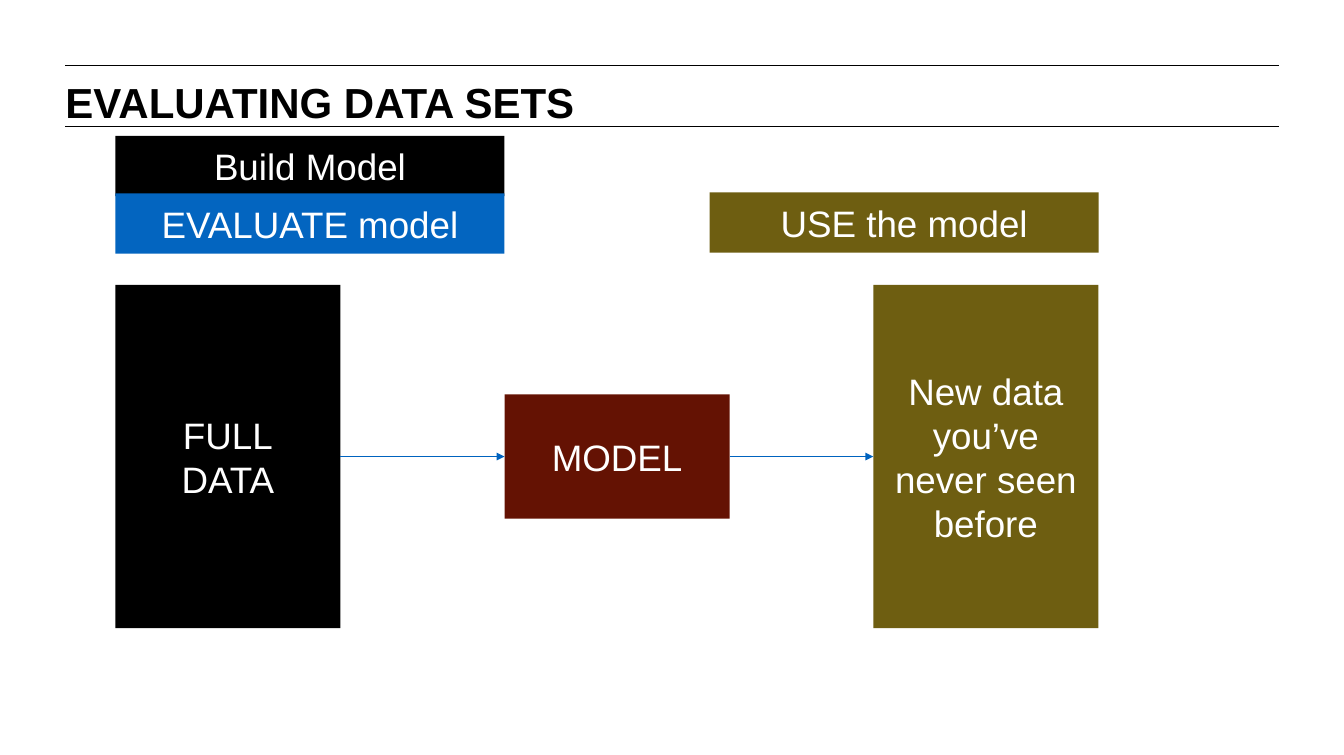
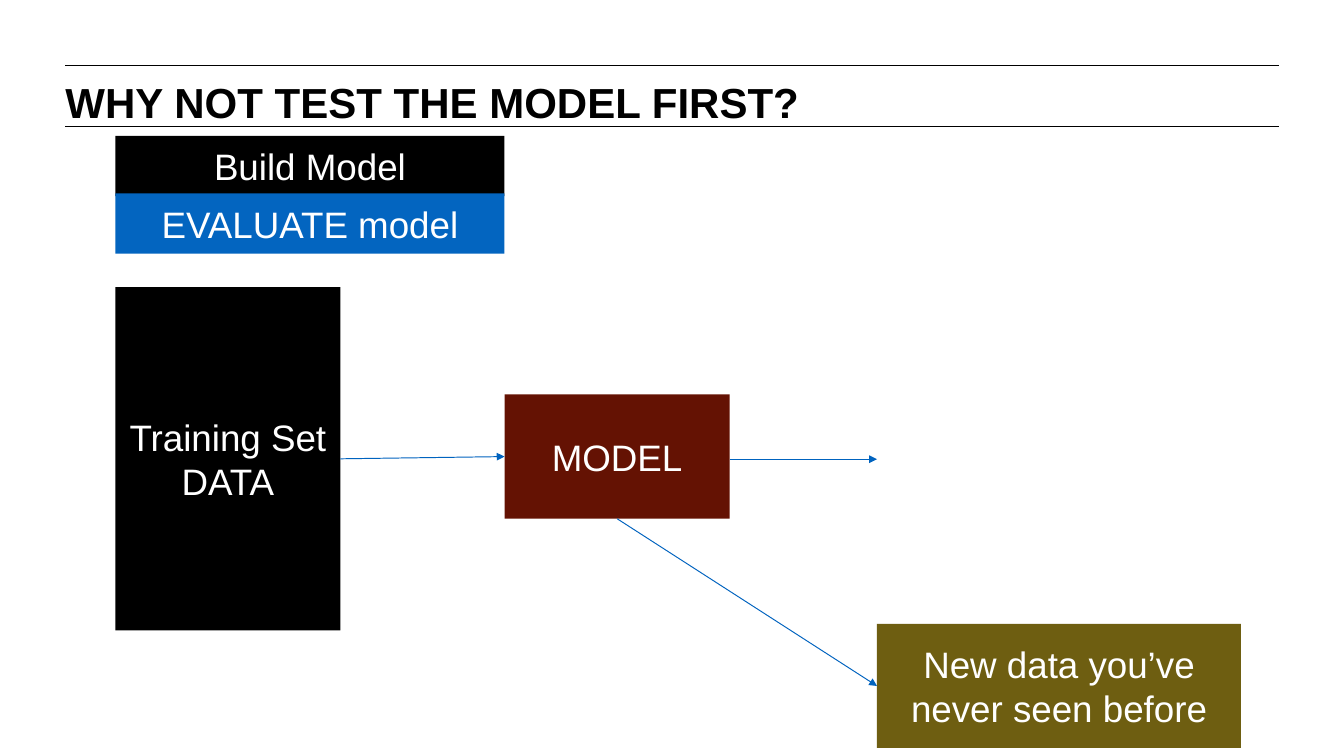
"""Builds two slides on evaluating a model with data sets."""
from lxml.etree import SubElement
from pptx import Presentation
from pptx.dml.color import RGBColor
from pptx.enum.shapes import MSO_CONNECTOR as Connector, MSO_SHAPE as Shape
from pptx.enum.text import MSO_ANCHOR as Anchor, MSO_AUTO_SIZE as AutoSize, PP_ALIGN as Align
from pptx.oxml.ns import qn
from pptx.util import Cm, Pt

FONT = "Arial"
BLACK, WHITE, BLUE, ARROW, RED, OLIVE = "000000", "FFFFFF", "0365C0", "0063BF", "641203", "6E5E11"
BOTTOM, LEFT, RIGHT = 2, 1, 3

RULE_LEFT, RULE_RIGHT = 1.76, 34.36
RULE_TOPS = (1.76, 3.4)
TITLE_PLACE = (1.76, 2.06, 21.44, 1.19)

BLOCK_LEFT, BLOCK_TOP = 3.1, 7.66
BLOCK_WIDTH, BLOCK_HEIGHT = 6.05, 9.22
BANNER_WIDTH, BANNER_HEIGHT = 10.46, 1.62
MODEL_LEFT = BLOCK_LEFT + BANNER_WIDTH
NEW_DATA = "New data you’ve never seen before"

SHARED_BOXES = {
    "build": ("Build Model", BLACK, (BLOCK_LEFT, 3.65, BANNER_WIDTH, BANNER_HEIGHT)),
    "evaluate": ("EVALUATE model", BLUE, (BLOCK_LEFT, 5.2, BANNER_WIDTH, BANNER_HEIGHT)),
    "model": ("MODEL", RED, (MODEL_LEFT, 10.6, BLOCK_WIDTH, 3.34)),
}

SLIDES = [
    {
        "title": "EVALUATING DATA SETS",
        "boxes": {
            "use": ("USE the model", OLIVE, (19.07, 5.17, BANNER_WIDTH, BANNER_HEIGHT)),
            "data": ("FULL\nDATA", BLACK, (BLOCK_LEFT, BLOCK_TOP, BLOCK_WIDTH, BLOCK_HEIGHT)),
            "new": (NEW_DATA, OLIVE, (23.47, BLOCK_TOP, BLOCK_WIDTH, BLOCK_HEIGHT)),
        },
        "joins": [("data", RIGHT, "model", LEFT), ("model", RIGHT, "new", LEFT)],
        "free_arrows": [],
    },
    {
        "title": "WHY NOT TEST THE MODEL FIRST?",
        "boxes": {
            "data": ("Training Set DATA", BLACK, (BLOCK_LEFT, 7.72, BLOCK_WIDTH, BLOCK_HEIGHT)),
            "new": (NEW_DATA, OLIVE, (23.57, 16.77, 9.78, 3.33)),
        },
        "joins": [("data", RIGHT, "model", LEFT), ("model", BOTTOM, "new", LEFT)],
        "free_arrows": [(MODEL_LEFT + BLOCK_WIDTH, 12.34, 23.57, 12.34)],
    },
]


def color(value):
    return RGBColor.from_string(value)


def format_text(frame, size, text_color, align, bold=False):
    for para in frame.paragraphs:
        para.alignment = align
        for span in para.runs:
            font = span.font
            font.name, font.size, font.bold = FONT, Pt(size), bold
            font.color.rgb = color(text_color)


def add_line(page, ends, line_color, arrow=False):
    line = page.shapes.add_connector(Connector.STRAIGHT, *map(Cm, ends))
    line.line.color.rgb = color(line_color)
    line.line.width = Pt(0.75)
    properties = line.element.spPr
    if arrow:
        SubElement(properties.find(qn("a:ln")), qn("a:tailEnd"), type="triangle")
    SubElement(properties, qn("a:effectLst"))
    return line


def add_box(page, text, fill, place):
    box = page.shapes.add_shape(Shape.RECTANGLE, *map(Cm, place))
    box.shadow.inherit = False
    box.fill.solid()
    box.fill.fore_color.rgb = color(fill)
    box.line.fill.background()
    frame = box.text_frame
    frame.text = text
    frame.word_wrap = True
    frame.vertical_anchor = Anchor.MIDDLE
    format_text(frame, 28, WHITE, Align.CENTER)
    return box


def set_title(page, text):
    title = page.shapes.title
    title.left, title.top, title.width, title.height = map(Cm, TITLE_PLACE)
    frame = title.text_frame
    frame.text = text
    frame.auto_size = AutoSize.NONE
    frame.vertical_anchor = Anchor.TOP
    frame.margin_left = frame.margin_right = frame.margin_top = frame.margin_bottom = 0
    format_text(frame, 32, BLACK, Align.LEFT, bold=True)


def add_layout_rules(page):
    for top in RULE_TOPS:
        rule = add_line(page, (RULE_LEFT, top, RULE_RIGHT, top), BLACK)
        page.slide_layout.shapes.element.append(rule.element)


def build_page(page, content):
    set_title(page, content["title"])
    boxes = {name: add_box(page, *box) for name, box in (SHARED_BOXES | content["boxes"]).items()}
    for start, start_side, end, end_side in content["joins"]:
        arrow = add_line(page, (0, 0, 1, 1), ARROW, arrow=True)
        arrow.begin_connect(boxes[start], start_side)
        arrow.end_connect(boxes[end], end_side)
    for ends in content["free_arrows"]:
        add_line(page, ends, ARROW, arrow=True)


def main():
    deck = Presentation()
    deck.slide_width, deck.slide_height = Cm(36.12), Cm(20.29)
    layout = deck.slide_layouts.get_by_name("Title Only")
    pages = [deck.slides.add_slide(layout) for _ in SLIDES]
    add_layout_rules(pages[0])
    for page, content in zip(pages, SLIDES):
        build_page(page, content)
    deck.save("out.pptx")


if __name__ == "__main__":
    main()
